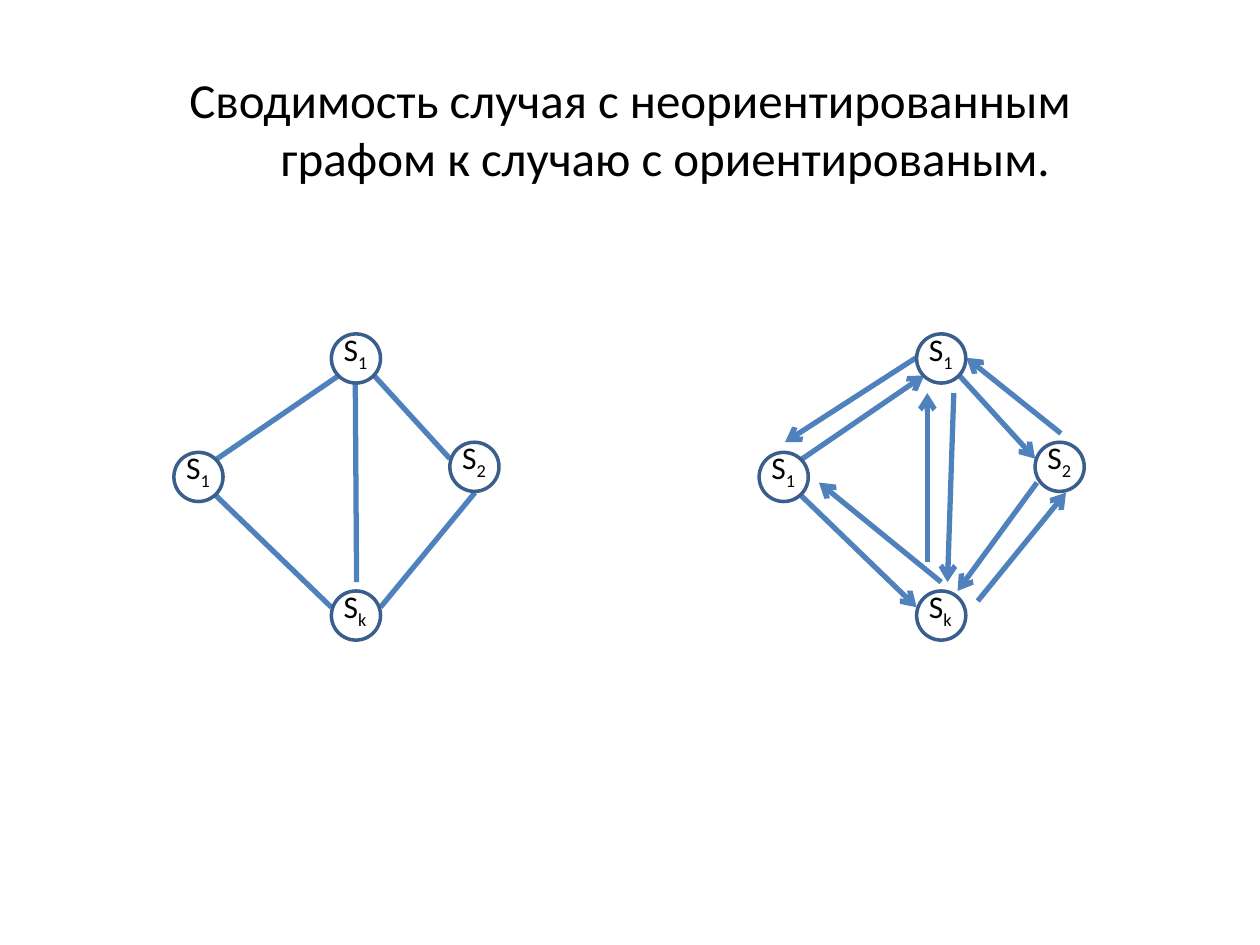
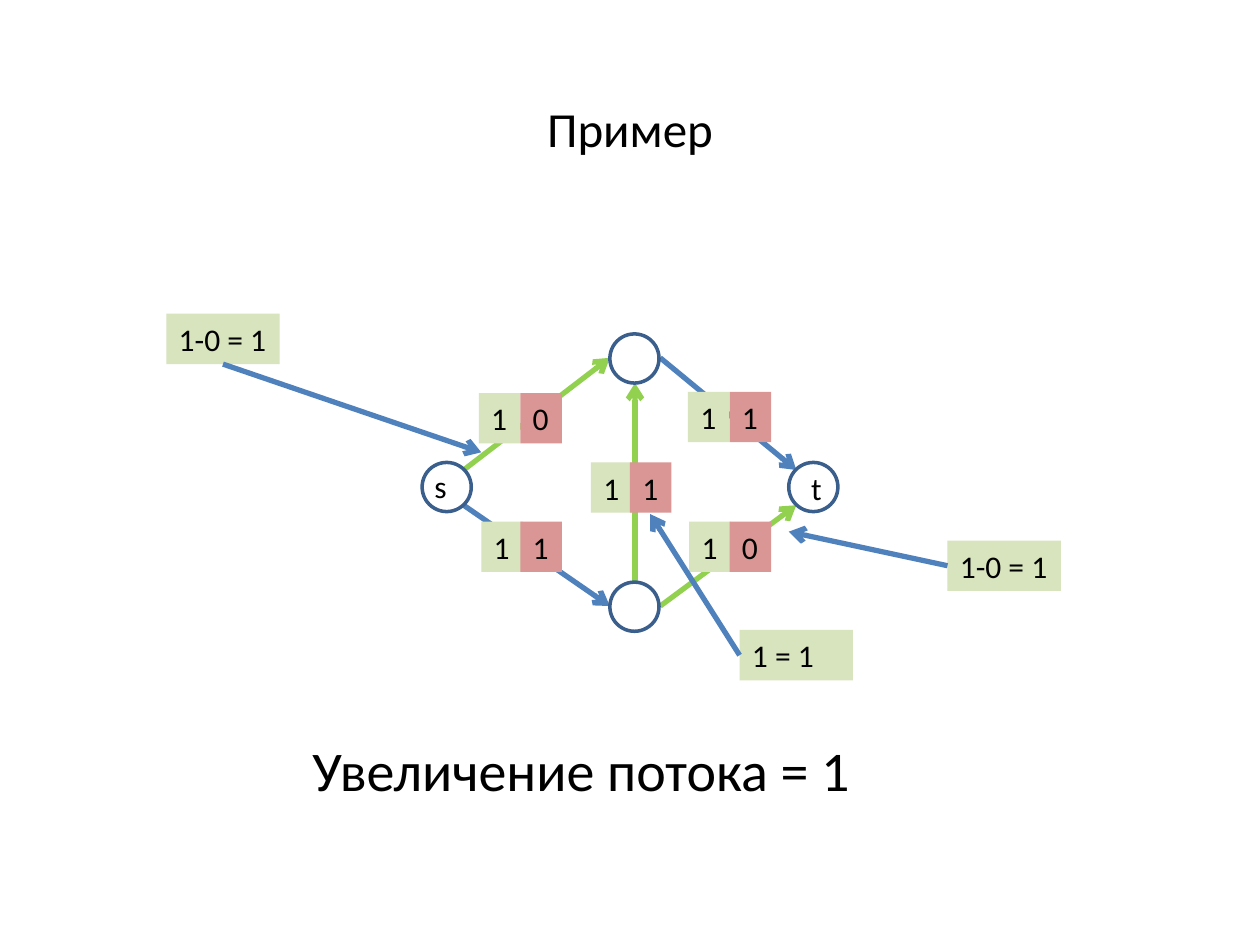
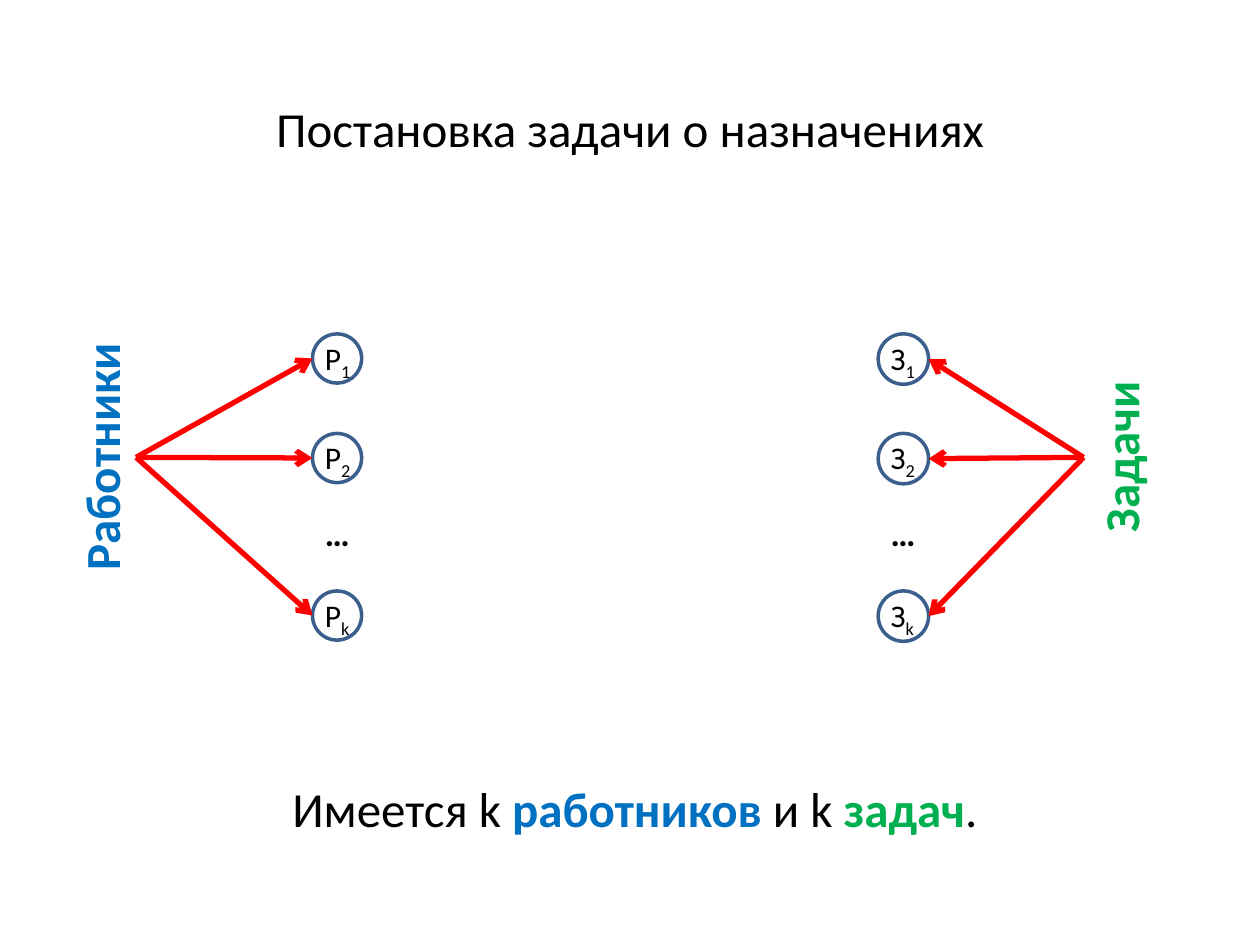
from dataclasses import dataclass

from pptx import Presentation
from pptx.dml.color import RGBColor
from pptx.enum.shapes import MSO_CONNECTOR, MSO_SHAPE
from pptx.enum.text import MSO_ANCHOR, MSO_AUTO_SIZE, PP_ALIGN
from pptx.oxml.ns import qn
from pptx.oxml.xmlchemy import OxmlElement
from pptx.util import Inches, Pt


@dataclass(frozen=True)
class Theme:
    font: str = "Calibri"
    black: str = "000000"
    white: str = "FFFFFF"
    outline: str = "3A5F8C"
    edge: str = "4F81BD"
    path_edge: str = "92D050"
    hub_arrow: str = "FF0000"
    capacity: str = "D7E4BD"
    flow: str = "D99694"
    workers: str = "0070C0"
    tasks: str = "00B050"
    heading: int = 28
    result: int = 32
    dots: int = 20
    label: int = 18
    node_line: int = 2
    edge_line: int = 3


T = Theme()
NODE = 0.39
BOX_H = 0.4


def rgb(code):
    return RGBColor.from_string(code)


def write(tf, runs, size=T.label, color=T.black, bold=False,
          align=PP_ALIGN.LEFT, anchor=MSO_ANCHOR.TOP, wrap=True, grow=True):
    """Fill a text frame; runs is a string or a list of (text, overrides)."""
    tf.word_wrap = wrap
    tf.auto_size = MSO_AUTO_SIZE.SHAPE_TO_FIT_TEXT if grow else MSO_AUTO_SIZE.NONE
    tf.vertical_anchor = anchor
    p = tf.paragraphs[0]
    p.alignment = align
    for text, own in [(runs, {})] if isinstance(runs, str) else runs:
        r = p.add_run()
        r.text = text
        r.font.name = T.font
        r.font.size = Pt(size)
        r.font.bold = own.get("bold", bold)
        r.font.color.rgb = rgb(own.get("color", color))
        if own.get("sub"):
            r._r.get_or_add_rPr().set("baseline", "-25000")
    return p


def add_text(s, box, runs, fill=None, rotation=0, **fmt):
    sp = s.shapes.add_textbox(*map(Inches, box))
    sp.rotation = rotation
    if fill:
        sp.fill.solid()
        sp.fill.fore_color.rgb = rgb(fill)
    write(sp.text_frame, runs, **fmt)


def add_titled_slide(prs, text):
    s = prs.slides.add_slide(prs.slide_layouts[5])
    title = s.shapes.title
    title.left, title.top, title.width, title.height = map(
        Inches, (0.75, 0.21, 8.5, 1.61))
    p = write(title.text_frame, text, size=T.heading, align=PP_ALIGN.CENTER,
              anchor=MSO_ANCHOR.MIDDLE, grow=False)
    pPr = p._p.get_or_add_pPr()
    pPr.set("marL", str(Inches(0.56)))
    pPr.set("indent", str(Inches(-0.56)))
    return s


def add_node(s, x, y, name="", index="", dx=0, dy=-0.02, size=NODE):
    """Draw a circle with a label whose box is offset by dx, dy."""
    sp = s.shapes.add_shape(MSO_SHAPE.OVAL, *map(Inches, (x, y, size, size)))
    sp.shadow.inherit = False
    sp.fill.solid()
    sp.fill.fore_color.rgb = rgb(T.white)
    sp.line.color.rgb = rgb(T.outline)
    sp.line.width = Pt(T.node_line)
    if name:
        runs = [(name, {})] + ([(index, {"sub": True})] if index else [])
        width = BOX_H if index else 0.3
        add_text(s, (x + dx, y + dy, width, BOX_H), runs, wrap=False)


def add_edge(s, start, end, color=T.edge, arrow=True):
    line = s.shapes.add_connector(MSO_CONNECTOR.STRAIGHT,
                                  *map(Inches, (*start, *end)))
    line.line.color.rgb = rgb(color)
    line.line.width = Pt(T.edge_line)
    spPr = line._element.spPr
    if arrow:
        tip = OxmlElement("a:tailEnd")
        tip.set("type", "arrow")
        spPr.find(qn("a:ln")).append(tip)
    spPr.append(OxmlElement("a:effectLst"))


def add_graph(s, dx, edges, directed):
    common = [((1.71, 3.93), (2.63, 4.82)),
              ((2.95, 2.96), (3.57, 3.64)),
              ((1.71, 3.65), (2.69, 2.98))]
    for (x1, y1), (x2, y2) in common:
        add_edge(s, (x1 + dx, y1), (x2 + dx, y2), arrow=directed)
    for start, end in edges:
        add_edge(s, start, end, arrow=directed)
    for x, y, index in [(2.63, 4.69, "k"), (3.57, 3.51, "2"),
                        (2.63, 2.65, "1"), (1.38, 3.59, "1")]:
        add_node(s, x + dx, y, "S", index, dy=-0.08)


def build_reduction(prs):
    s = add_titled_slide(prs, "Сводимость случая с неориентированным "
                              "графом к случаю с ориентированым.")
    undirected = [((3.02, 4.82), (3.77, 3.91)), ((2.82, 3.04), (2.83, 4.62))]
    directed = [((8.23, 3.83), (7.6, 4.69)), ((7.27, 2.84), (6.23, 3.51)),
                ((8.42, 3.44), (7.67, 2.84)), ((7.47, 4.62), (6.5, 3.83)),
                ((7.76, 4.77), (8.46, 3.91)), ((7.57, 3.12), (7.52, 4.62)),
                ((7.36, 4.46), (7.36, 3.12))]
    add_graph(s, 0, undirected, directed=False)
    add_graph(s, 4.645, directed, directed=True)


def build_example(prs):
    s = add_titled_slide(prs, "Пример")
    for start, end, color in [((5.04, 4.62), (5.04, 3.04), T.path_edge),
                              ((3.68, 3.73), (4.84, 2.84), T.path_edge),
                              ((5.24, 4.81), (6.32, 4.01), T.path_edge),
                              ((5.24, 2.84), (6.32, 3.73), T.edge),
                              ((3.68, 4.01), (4.84, 4.81), T.edge)]:
        add_edge(s, start, end, color)
    add_node(s, 4.84, 2.65)
    add_node(s, 4.84, 4.62)
    add_node(s, 3.35, 3.67, "s", dy=-0.01)
    add_node(s, 6.26, 3.67, "t", dx=0.08, dy=0)

    for capacity_x, flow_x, y, flow in [(3.8, 4.13, 3.12, "0"),
                                        (5.46, 5.79, 3.11, "1"),
                                        (3.82, 4.13, 4.14, "1"),
                                        (5.47, 5.79, 4.14, "0"),
                                        (4.69, 5, 3.67, "1")]:
        for x, value, fill in [(capacity_x, "1", T.capacity), (flow_x, flow, T.flow)]:
            add_text(s, (x, y, 0.33, BOX_H), value, fill=fill, wrap=False)

    add_text(s, (2.38, 5.79, 4.71, 0.64), "Увеличение потока = 1",
             fill=T.white, size=T.result, wrap=False)
    for x, y, text, start, end in [
            (1.32, 2.49, "1-0 = 1", (1.77, 2.89), (3.82, 3.59)),
            (7.52, 4.29, "1-0 = 1", (7.52, 4.49), (6.26, 4.22)),
            (5.87, 5, "1 = 1", (5.87, 5.2), (5.16, 4.08))]:
        add_text(s, (x, y, 0.9, BOX_H), text, fill=T.capacity)
        add_edge(s, start, end)


def add_group(s, x, letter, size, hub, tip_x, caption, caption_x, color):
    """Draw a column of nodes, its caption and arrows from the caption's hub."""
    for y, index in [(2.65, "1"), (3.44, "2"), (4.69, "k")]:
        add_node(s, x, y, letter, index, dy=-0.01, size=size)
        add_edge(s, hub, (tip_x, y + size / 2), T.hub_arrow)
    add_text(s, (x, 3.99, NODE, 0.47), "…", size=T.dots, bold=True,
             anchor=MSO_ANCHOR.MIDDLE, grow=False)
    add_text(s, (caption_x, 3.34, 2.9, 0.57), caption, rotation=270,
             size=T.heading, color=color, bold=True, align=PP_ALIGN.CENTER)


def build_assignment(prs):
    s = add_titled_slide(prs, "Постановка задачи о назначениях")
    add_group(s, 2.48, "Р", NODE, (1.08, 3.63), 2.48, "Работники", -0.65, T.workers)
    add_group(s, 6.97, "З", 0.4, (8.6, 3.63), 7.37, "Задачи", 7.44, T.tasks)
    add_text(s, (0.51, 5.61, 9.06, 1.61),
             [("Имеется k ", {}),
              ("работников ", {"color": T.workers, "bold": True}),
              ("и k ", {}),
              ("задач", {"color": T.tasks, "bold": True}),
              (".", {})],
             size=T.heading, align=PP_ALIGN.CENTER,
             anchor=MSO_ANCHOR.MIDDLE, grow=False)


def main():
    prs = Presentation()
    prs.slide_width, prs.slide_height = Inches(10), Inches(7.5)
    build_reduction(prs)
    build_example(prs)
    build_assignment(prs)
    prs.save("out.pptx")


if __name__ == "__main__":
    main()
